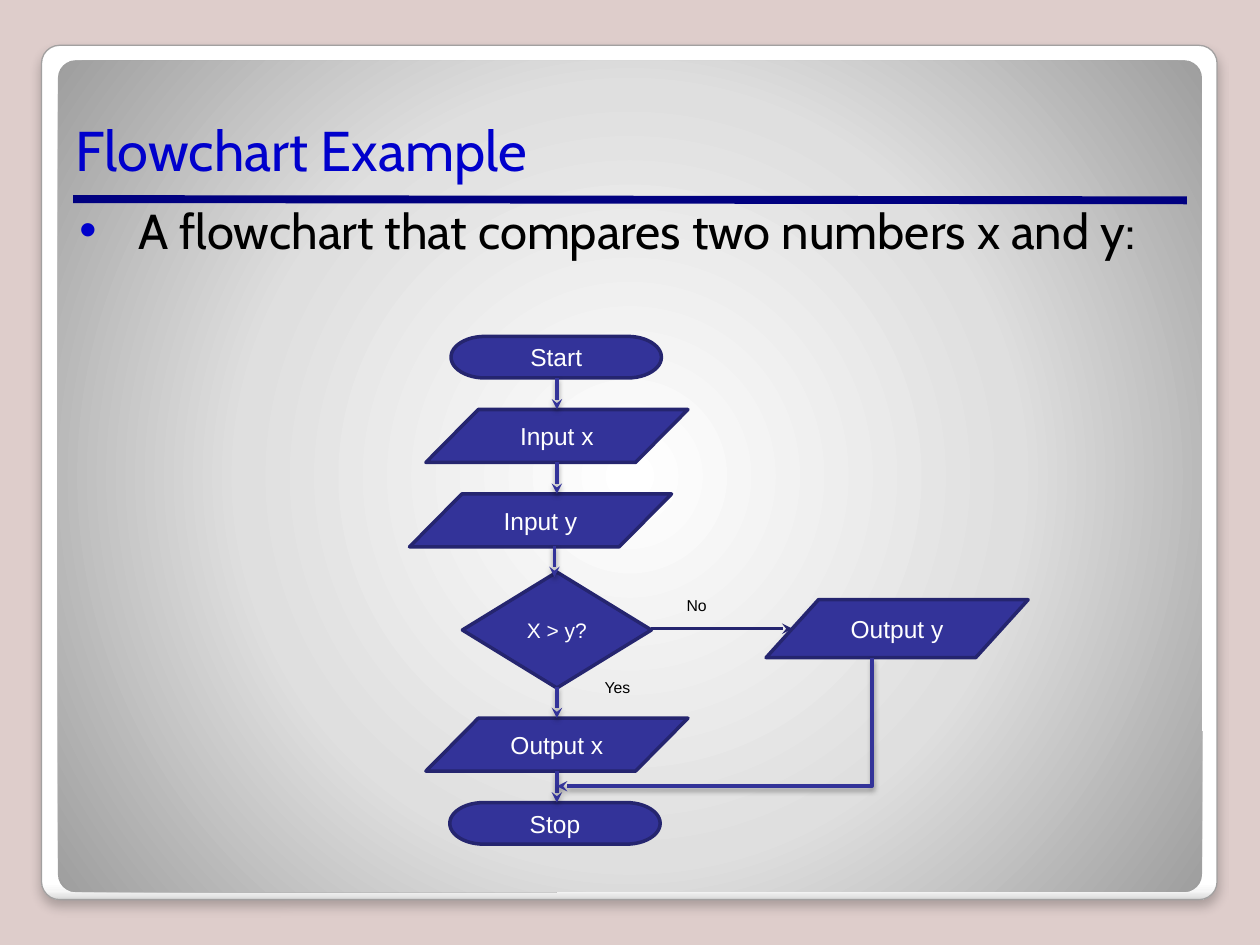
from typing import NamedTuple, Optional

from pptx import Presentation
from pptx.dml.color import RGBColor
from pptx.enum import shapes, text
from pptx.oxml import parse_xml
from pptx.oxml.ns import nsdecls, qn
from pptx.util import Inches, Pt

BACKGROUND = RGBColor(0xDE, 0xCD, 0xCB)
FRAME_EDGE = RGBColor(0xA2, 0xA0, 0xA0)
RULE = RGBColor(0x00, 0x00, 0x80)
TITLE = RGBColor(0x00, 0x00, 0xCC)
NODE_FILL = RGBColor(0x33, 0x33, 0x99)
NODE_EDGE = RGBColor(0x25, 0x25, 0x6F)
WHITE = RGBColor(0xFF, 0xFF, 0xFF)
BLACK = RGBColor(0x00, 0x00, 0x00)

Shape = shapes.MSO_SHAPE
TERMINAL = Shape.FLOWCHART_TERMINATOR
DATA = Shape.FLOWCHART_DATA
DECISION = Shape.FLOWCHART_DECISION
AXIS = 4.42


class Shadow(NamedTuple):
    alpha: int
    blur: float
    distance: float


class Node(NamedTuple):
    label: str
    kind: Shape
    left: float
    top: float
    width: float
    height: float
    size: int = 14


class Arrow(NamedTuple):
    start: tuple[float, float]
    end: tuple[float, float]
    color: RGBColor = NODE_FILL
    shadow: Optional[Shadow] = Shadow(38, 3.1, 1.6)


class Label(NamedTuple):
    wording: str
    left: float
    top: float


NODES = [
    Node("Start", TERMINAL, 3.58, 2.67, 1.67, 0.33),
    Node("Input x", DATA, 3.38, 3.25, 2.08, 0.42),
    Node("Input y", DATA, 3.25, 3.92, 2.08, 0.42),
    Node("X > y?", DECISION, 3.67, 4.54, 1.5, 0.92, 12),
    Node("Output x", DATA, 3.38, 5.7, 2.08, 0.42),
    Node("Stop", TERMINAL, 3.57, 6.37, 1.67, 0.33),
    Node("Output y", DATA, 6.08, 4.76, 2.08, 0.46),
]
DOWN_STEPS = [(AXIS, 3), (AXIS, 3.67), (4.4, 4.33), (AXIS, 5.45), (AXIS, 6.12)]
ARROWS = [Arrow((x, y), (x, y + 0.25)) for x, y in DOWN_STEPS]
ARROWS.append(Arrow((5.17, 4.99), (6.29, 4.99), NODE_EDGE, None))
LABELS = [Label("No", 5.35, 4.68), Label("Yes", 4.7, 5.33)]


def set_effect(shape, shadow: Optional[Shadow]) -> None:
    """Give the shape a downward black shadow, or an explicit lack of one."""
    inner = ""
    if shadow:
        inner = (
            f'<a:outerShdw blurRad="{Pt(shadow.blur)}" dist="{Pt(shadow.distance)}" '
            'dir="5400000" rotWithShape="0"><a:srgbClr val="000000">'
            f'<a:alpha val="{shadow.alpha * 1000}"/></a:srgbClr></a:outerShdw>'
        )
    effect = parse_xml(f'<a:effectLst {nsdecls("a")}>{inner}</a:effectLst>')
    shape.element.spPr.append(effect)


def set_gradient(shape, stops: list[tuple[int, str]], direction: str) -> None:
    marks = "".join(
        f'<a:gs pos="{at * 1000}"><a:srgbClr val="{color}"/></a:gs>' for at, color in stops
    )
    shape.fill.gradient()
    properties = shape.element.spPr
    gradient = parse_xml(
        f'<a:gradFill {nsdecls("a")} rotWithShape="1"><a:gsLst>{marks}</a:gsLst>'
        f"{direction}</a:gradFill>"
    )
    properties.replace(properties.find(qn("a:gradFill")), gradient)


def add_span(para, wording: str, size: float, color: RGBColor, font: str) -> None:
    span = para.add_run()
    span.text = wording
    span.font.size = Pt(size)
    span.font.name = font
    span.font.color.rgb = color


def add_panel(page, left: float, top: float, width: float, height: float):
    panel = page.shapes.add_shape(
        Shape.ROUNDED_RECTANGLE, Inches(left), Inches(top), Inches(width), Inches(height)
    )
    panel.adjustments[0] = 0.021
    return panel


def add_frame(page) -> None:
    outer = add_panel(page, 0.33, 0.36, 9.33, 6.78)
    set_gradient(
        outer,
        [(0, "FFFFFF"), (98, "FFFFFF"), (99, "F6F6F6"), (100, "D8D8D8")],
        '<a:lin ang="5400000" scaled="0"/>',
    )
    outer.line.color.rgb = FRAME_EDGE
    outer.line.width = Pt(0.75)
    set_effect(outer, Shadow(24, 6, 4))

    inner = add_panel(page, 0.46, 0.48, 9.08, 6.6)
    set_gradient(
        inner,
        [(0, "FFFFFF"), (55, "DFDFDF"), (100, "9E9E9E")],
        '<a:path path="circle"><a:fillToRect l="50000" t="50000" r="50000" b="50000"/></a:path>',
    )
    inner.line.fill.background()
    inner.shadow.inherit = False


def add_line(page, start, end, color: RGBColor, width: float,
             kind=shapes.MSO_CONNECTOR.STRAIGHT):
    line = page.shapes.add_connector(kind, *(Inches(v) for v in (*start, *end)))
    line.line.color.rgb = color
    line.line.width = Pt(width)
    return line


def add_arrowhead(line) -> None:
    line.line._get_or_add_ln().append(parse_xml(f'<a:tailEnd {nsdecls("a")} type="stealth"/>'))


def add_arrow(page, arrow: Arrow) -> None:
    line = add_line(page, arrow.start, arrow.end, arrow.color, 2)
    add_arrowhead(line)
    set_effect(line, arrow.shadow)


def add_return_arrow(page) -> None:
    """Lead from Output y down and left to the step before Stop."""
    left, top, drop, run = 5.16, 4.48, 1.02, 2.5
    line = add_line(page, (left, top), (left + drop, top + run), NODE_FILL, 2,
                    shapes.MSO_CONNECTOR.ELBOW)
    properties = line.element.spPr
    properties.find(qn("a:prstGeom")).set("prst", "bentConnector2")
    properties.find(qn("a:xfrm")).set("rot", "5400000")
    add_arrowhead(line)
    set_effect(line, Shadow(38, 3.1, 1.6))


def add_node(page, node: Node) -> None:
    box = page.shapes.add_shape(
        node.kind, *(Inches(v) for v in (node.left, node.top, node.width, node.height))
    )
    box.shadow.inherit = False
    box.fill.solid()
    box.fill.fore_color.rgb = NODE_FILL
    box.line.color.rgb = NODE_EDGE
    box.line.width = Pt(2)
    box.text_frame.vertical_anchor = text.MSO_ANCHOR.MIDDLE
    para = box.text_frame.paragraphs[0]
    para.alignment = text.PP_ALIGN.CENTER
    add_span(para, node.label, node.size, WHITE, "Arial")


def add_label(page, label: Label) -> None:
    box = page.shapes.add_textbox(
        Inches(label.left), Inches(label.top), Inches(0.62), Inches(0.25)
    )
    box.text_frame.word_wrap = True
    add_span(box.text_frame.paragraphs[0], label.wording, 9, BLACK, "Arial")


def place_placeholder(page, box, top: float, height: float, anchor):
    """Move the placeholder in front of the frame and return its paragraph."""
    box.left, box.top, box.width, box.height = (Inches(v) for v in (0.5, top, 9, height))
    page.shapes.element.append(box.element)
    box.text_frame.auto_size = text.MSO_AUTO_SIZE.NONE
    box.text_frame.vertical_anchor = anchor
    para = box.text_frame.paragraphs[0]
    para.alignment = text.PP_ALIGN.LEFT
    return para


def add_heading(page) -> None:
    title, body = page.placeholders[0], page.placeholders[1]
    para = place_placeholder(page, title, 0.5, 1, text.MSO_ANCHOR.BOTTOM)
    add_span(para, "Flowchart Example", 32, TITLE, "Cabin")

    para = place_placeholder(page, body, 1.54, 5.16, text.MSO_ANCHOR.TOP)
    para.space_before = Pt(6.4)
    properties = para._p.get_or_add_pPr()
    properties.set("marL", str(Inches(0.5)))
    properties.set("indent", str(Inches(-0.47)))
    ns = nsdecls("a")
    properties.append(parse_xml(f'<a:buClr {ns}><a:srgbClr val="{TITLE}"/></a:buClr>'))
    properties.append(parse_xml(f'<a:buChar {ns} char="•"/>'))
    add_span(para, "A flowchart that compares two numbers x and y:", 28, BLACK, "Cabin")


def main() -> None:
    deck = Presentation()
    deck.slide_width, deck.slide_height = Inches(10), Inches(7.5)
    page = deck.slides.add_slide(deck.slide_layouts[1])
    page.background.fill.solid()
    page.background.fill.fore_color.rgb = BACKGROUND
    add_frame(page)
    set_effect(add_line(page, (0.58, 1.58), (9.42, 1.59), RULE, 4.5), None)
    add_heading(page)
    for node in NODES:
        add_node(page, node)
    for arrow in ARROWS:
        add_arrow(page, arrow)
    add_return_arrow(page)
    for label in LABELS:
        add_label(page, label)
    deck.save("out.pptx")


if __name__ == "__main__":
    main()
